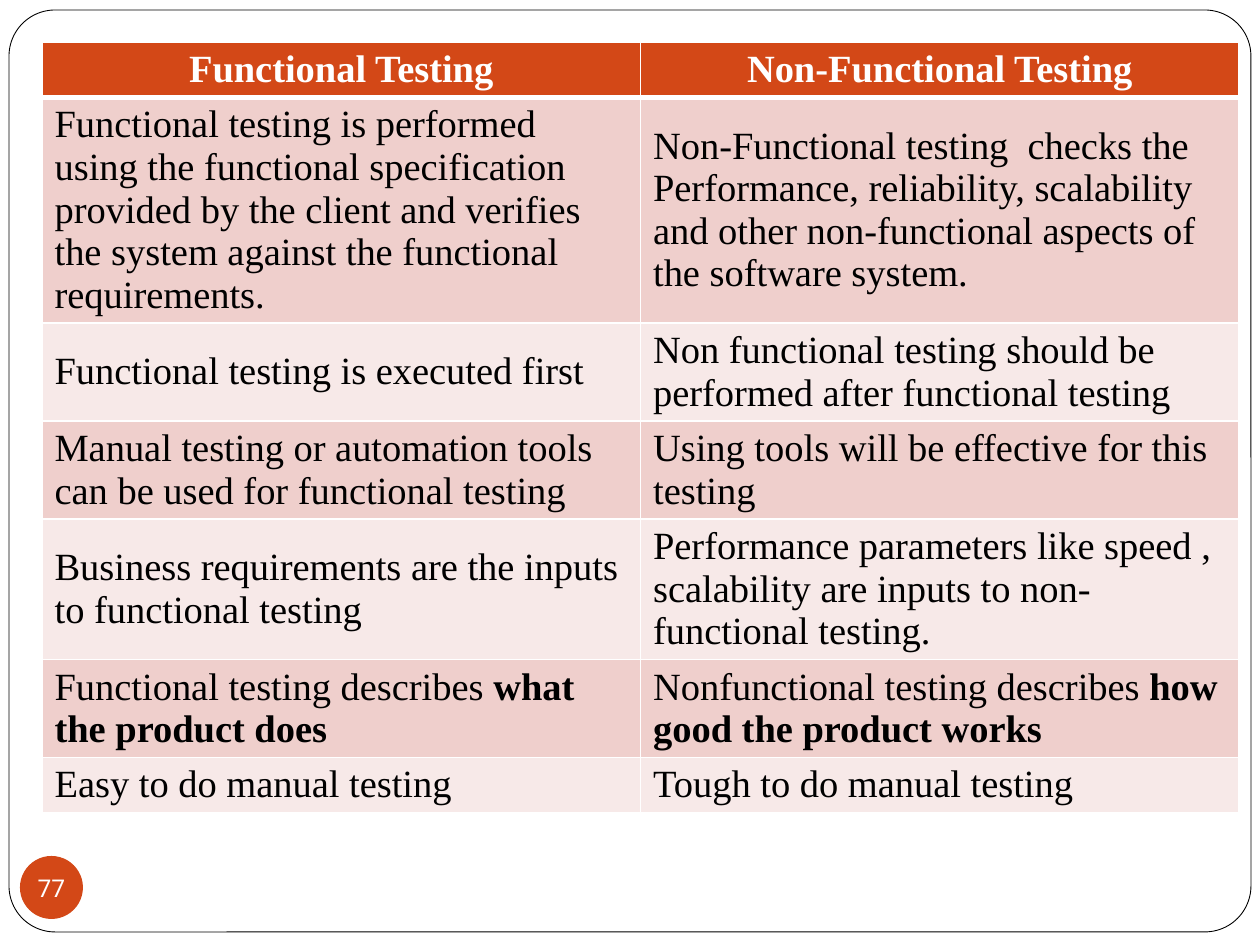
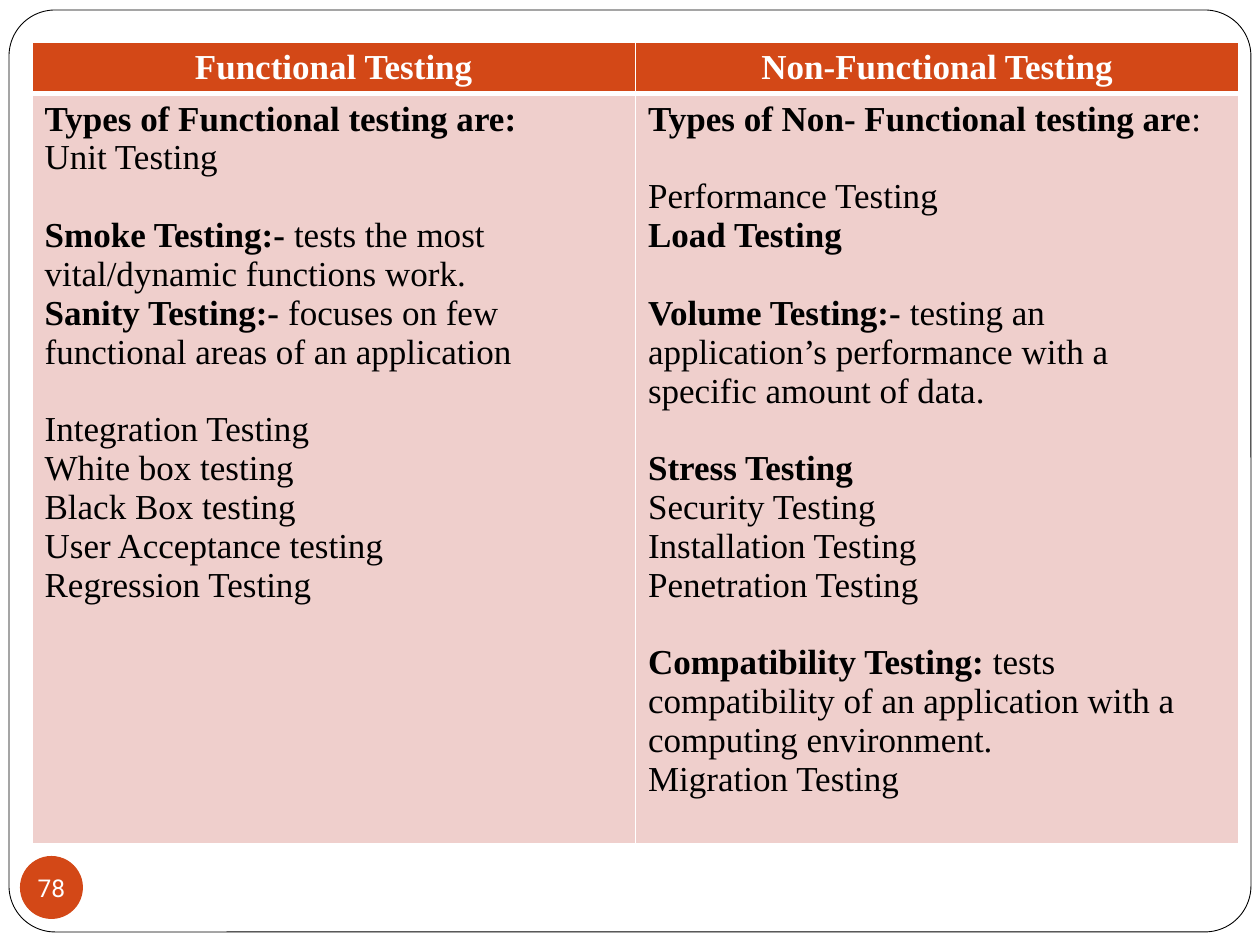
from dataclasses import dataclass
from typing import NamedTuple

from lxml.etree import SubElement as Sub
from pptx import Presentation
from pptx.dml.color import RGBColor as Rgb
from pptx.enum.shapes import MSO_SHAPE as Shape
from pptx.enum.text import MSO_ANCHOR as Anchor, PP_ALIGN as Align
from pptx.oxml.ns import qn
from pptx.util import Emu, Pt

SCALE = 914400 / 126


@dataclass(frozen=True)
class Theme:
    """Colours, fonts and type sizes of the deck."""
    white: str = "FFFFFF"
    black: str = "000000"
    accent: str = "D34817"
    bands: tuple[str, str] = ("EFCFCC", "F7E9E8")
    serif: str = "Times New Roman"
    sans: str = "Roboto"
    badge: int = 14
    large: int = 22
    small: int = 20
    thin: float = 1
    thick: float = 3


class Box(NamedTuple):
    """A rectangle in px."""
    left: int
    top: int
    width: int
    height: int


class Line(NamedTuple):
    """A paragraph, with bold between ** marks, and a gap of lines above."""
    text: str
    gap: int = 0


class Page(NamedTuple):
    """A two-column table page."""
    number: int
    left: int
    width: int
    size: int
    anchor: Anchor
    heights: list[int]
    rows: list[tuple[list[Line], list[Line]]]


THEME = Theme()
FRAME = Box(9, 10, 1242, 922)
BADGE = Box(20, 856, 63, 63)
TOP = 42
LEAD = 1.11
HEADS = ("**Functional Testing**", "**Non-Functional Testing**")

FACTS = [
    ("Functional testing is performed using the functional specification provided by the client "
     "and verifies the system against the functional requirements.",
     "Non-Functional testing  checks the  Performance, reliability, scalability and other "
     "non-functional aspects of the software system."),
    ("Functional testing is executed first",
     "Non functional testing should be performed after functional testing"),
    ("Manual testing or automation tools can be used for functional testing",
     "Using tools will be effective for this testing"),
    ("Business requirements are the inputs to functional testing",
     "Performance parameters like speed , scalability are inputs to non-functional testing."),
    ("Functional testing describes **what the product does**",
     "Nonfunctional testing describes **how good the product works**"),
    ("Easy to do manual testing", "Tough to do manual testing"),
]

TYPES = (
    [
        Line("**Types of Functional testing are:**"),
        Line("Unit Testing"),
        Line("**Smoke Testing:- **tests the most vital/dynamic functions work.", 1),
        Line("**Sanity Testing:- **focuses on few functional areas of an application"),
        Line("Integration Testing", 1),
        Line("White box testing"),
        Line("Black Box testing"),
        Line("User Acceptance testing"),
        Line("Regression Testing"),
    ],
    [
        Line("**Types of Non- Functional testing are**:"),
        Line("Performance Testing", 1),
        Line("**Load Testing**"),
        Line("**Volume Testing:- **testing an application’s performance with a specific "
             "amount of data.", 1),
        Line("**Stress Testing**", 1),
        Line("Security Testing"),
        Line("Installation Testing"),
        Line("Penetration Testing"),
        Line("**Compatibility Testing: **tests compatibility of an application with a "
             "computing environment.", 1),
        Line("Migration Testing"),
    ],
)

PAGES = [
    Page(77, 42, 1197, THEME.large, Anchor.MIDDLE, [55, 225, 98, 98, 140, 98, 55],
         [([Line(left)], [Line(right)]) for left, right in FACTS]),
    Page(78, 32, 1207, THEME.small, Anchor.TOP, [51, 750], [TYPES]),
]


def px(count: float) -> Emu:
    """Turn px into EMU."""
    return Emu(round(count * SCALE))


def write(frame, lines: list[Line], *, size: int, color: str, font: str = THEME.serif,
          align: Align = Align.LEFT) -> None:
    """Write lines into a text frame."""
    for spot, line in enumerate(lines):
        para = frame.paragraphs[0] if spot == 0 else frame.add_paragraph()
        para.alignment = align
        if line.gap:
            para.space_before = Pt(round(line.gap * size * LEAD, 1))
        for turn, part in enumerate(line.text.split("**")):
            if part:
                run = para.add_run()
                run.text = part
                run.font.name = font
                run.font.size = Pt(size)
                run.font.bold = turn % 2 == 1
                run.font.color.rgb = Rgb.from_string(color)


def draw(slide, kind: Shape, box: Box, fill: str):
    """Add a flat filled shape without an outline."""
    shape = slide.shapes.add_shape(kind, *map(px, box))
    shape.shadow.inherit = False
    shape.fill.solid()
    shape.fill.fore_color.rgb = Rgb.from_string(fill)
    shape.line.fill.background()
    return shape


def base(slide, number: int) -> None:
    """Draw the page frame and the number badge."""
    frame = draw(slide, Shape.ROUNDED_RECTANGLE, FRAME, THEME.white)
    frame.adjustments[0] = 0.05
    frame.line.color.rgb = Rgb.from_string(THEME.black)
    frame.line.width = Pt(0.5)
    text = draw(slide, Shape.OVAL, BADGE, THEME.accent).text_frame
    text.margin_left = text.margin_right = text.margin_top = text.margin_bottom = 0
    text.word_wrap = False
    text.vertical_anchor = Anchor.MIDDLE
    write(text, [Line(str(number))], size=THEME.badge, color=THEME.white,
          font=THEME.sans, align=Align.CENTER)


def edge(cell, row: int) -> None:
    """Rule a cell in white, thicker under the header."""
    props = cell._tc.get_or_add_tcPr()
    widths = {"L": THEME.thin, "R": THEME.thin,
              "T": THEME.thick if row == 1 else THEME.thin,
              "B": THEME.thick if row == 0 else THEME.thin}
    for side, width in widths.items():
        rule = Sub(props, qn(f"a:ln{side}"), w=str(Pt(width)))
        Sub(Sub(rule, qn("a:solidFill")), qn("a:srgbClr"), val=THEME.white)


def grid(slide, page: Page) -> None:
    """Add the comparison table."""
    rows = [tuple([Line(head)] for head in HEADS), *page.rows]
    box = Box(page.left, TOP, page.width, sum(page.heights))
    table = slide.shapes.add_table(len(rows), len(HEADS), *map(px, box)).table
    for col in table.columns:
        col.width = px(page.width / len(HEADS))
    for row, (cells, height) in enumerate(zip(rows, page.heights)):
        table.rows[row].height = px(height)
        head = row == 0
        fill = THEME.accent if head else THEME.bands[(row - 1) % 2]
        for col, lines in enumerate(cells):
            cell = table.cell(row, col)
            edge(cell, row)
            cell.fill.solid()
            cell.fill.fore_color.rgb = Rgb.from_string(fill)
            cell.vertical_anchor = Anchor.MIDDLE if head else page.anchor
            write(cell.text_frame, lines, size=page.size,
                  color=THEME.white if head else THEME.black,
                  align=Align.CENTER if head else Align.LEFT)


def main() -> None:
    """Build and save the deck."""
    deck = Presentation()
    deck.slide_width, deck.slide_height = px(1260), px(945)
    for page in PAGES:
        slide = deck.slides.add_slide(deck.slide_layouts[6])
        base(slide, page.number)
        grid(slide, page)
    deck.save("out.pptx")


if __name__ == "__main__":
    main()
